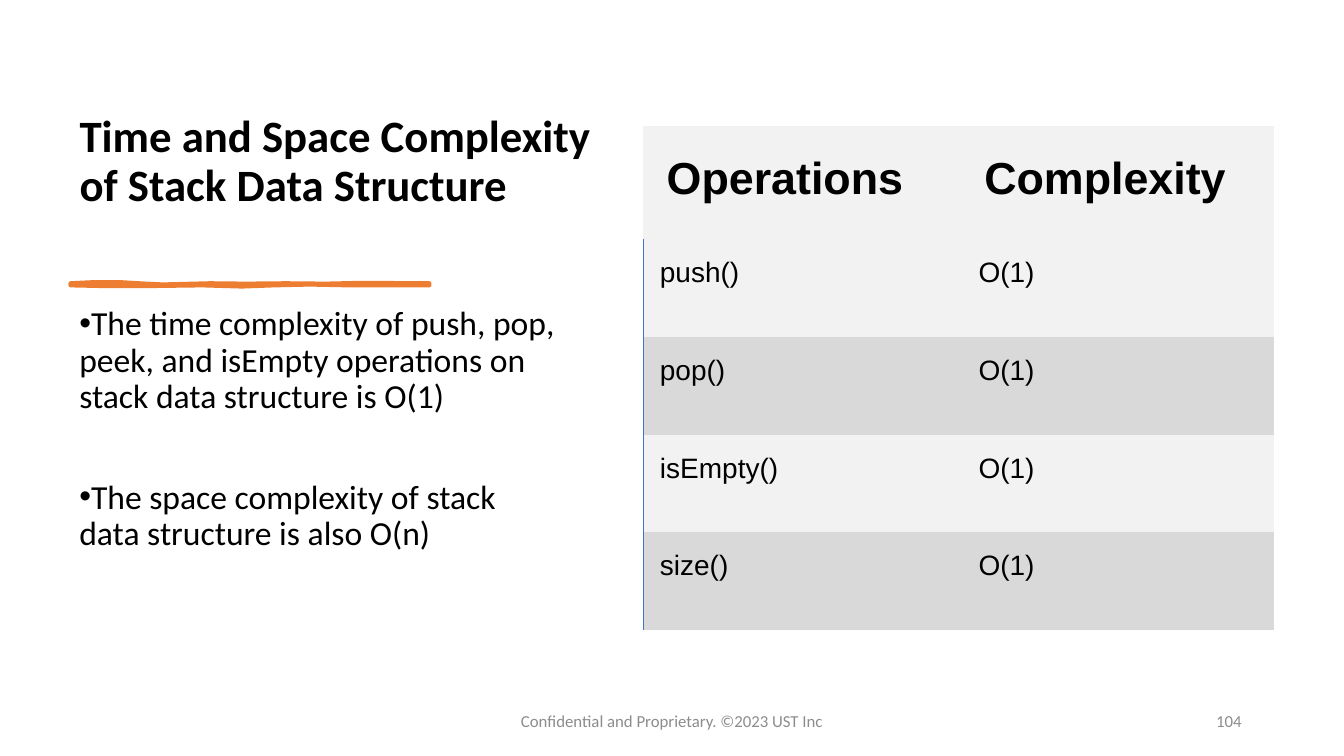
from dataclasses import dataclass

from lxml import etree
from pptx import Presentation
from pptx import util as u
from pptx.dml.color import RGBColor
from pptx.enum import text
from pptx.oxml import ns


@dataclass(frozen=True)
class Theme:
    ink: str = "000000"
    muted: str = "8C8C8C"
    accent: str = "ED7D31"
    light: str = "F2F2F2"
    band: str = "D9D9D9"
    rule: str = "4472C4"
    body_font: str = "Calibri"
    table_font: str = "Arial"
    heading: int = 32
    bullet: int = 24
    cell: int = 20
    footer: int = 12
    plain_table: str = "{2D5ABB26-0587-4C30-8999-92F81FD0307C}"


class Deck:
    def __init__(self, theme):
        self.theme = theme
        self.prs = Presentation()
        self.prs.slide_width, self.prs.slide_height = u.Cm(33.87), u.Cm(19.05)
        self.slide = self.prs.slides.add_slide(self.prs.slide_layouts[5])

    def style(self, paragraph, size, color=None, font=None, bold=False):
        paragraph.font.name = font or self.theme.body_font
        paragraph.font.size = u.Pt(size)
        paragraph.font.bold = bold
        paragraph.font.color.rgb = RGBColor.from_string(color or self.theme.ink)

    def title(self, words, box, bottom):
        heading = self.slide.shapes.title
        heading.left, heading.top, heading.width, heading.height = map(u.Cm, box)
        frame = heading.text_frame
        frame.text = words
        frame.word_wrap = True
        frame.auto_size = text.MSO_AUTO_SIZE.NONE
        frame.vertical_anchor = text.MSO_ANCHOR.BOTTOM
        frame.margin_bottom = u.Cm(bottom)
        paragraph = frame.paragraphs[0]
        paragraph.alignment = text.PP_ALIGN.LEFT
        paragraph.line_spacing = 0.9
        self.style(paragraph, self.theme.heading, bold=True)

    def text_box(self, box):
        frame = self.slide.shapes.add_textbox(*map(u.Cm, box)).text_frame
        frame.word_wrap = True
        return frame

    def bullets(self, points, box, gap):
        frame = self.text_box(box)
        for i, point in enumerate(points):
            paragraph = frame.add_paragraph() if i else frame.paragraphs[0]
            paragraph.text = point
            props = paragraph._p.get_or_add_pPr()
            props.set("marL", "0")
            props.set("indent", str(-u.Cm(0.64)))
            etree.SubElement(props, ns.qn("a:buFont")).set("typeface", "Arial")
            etree.SubElement(props, ns.qn("a:buChar")).set("char", "•")
            paragraph.line_spacing = 0.9
            if i:
                paragraph.space_before = u.Pt(gap)
            self.style(paragraph, self.theme.bullet)

    def footer(self, words, box, align):
        frame = self.text_box(box)
        frame.vertical_anchor = text.MSO_ANCHOR.MIDDLE
        paragraph = frame.paragraphs[0]
        paragraph.text = words
        paragraph.alignment = align
        self.style(paragraph, self.theme.footer, self.theme.muted)

    def brush_stroke(self, outline):
        start, *rest = [(u.Cm(x), u.Cm(y)) for x, y in outline]
        builder = self.slide.shapes.build_freeform(*start)
        builder.add_line_segments(rest, close=True)
        stroke = builder.convert_to_shape()
        stroke.shadow.inherit = False
        color = RGBColor.from_string(self.theme.accent)
        stroke.fill.solid()
        stroke.fill.fore_color.rgb = color
        stroke.line.color.rgb = color
        stroke.line.width = u.Pt(3)
        etree.SubElement(stroke.line._get_or_add_ln(), ns.qn("a:round"))

    def left_border(self, cell):
        props = cell._tc.get_or_add_tcPr()
        line = etree.Element(ns.qn("a:lnL"), w=str(u.Pt(1)))
        fill = etree.SubElement(line, ns.qn("a:solidFill"))
        etree.SubElement(fill, ns.qn("a:srgbClr")).set("val", self.theme.rule)
        props.insert(0, line)

    def table(self, rows, corner, widths, heights):
        theme = self.theme
        grid = self.slide.shapes.add_table(
            len(rows), len(widths), *map(u.Cm, (*corner, sum(widths), sum(heights)))).table
        grid.first_row = grid.horz_banding = False
        grid._tbl.tblPr.find(ns.qn("a:tableStyleId")).text = theme.plain_table
        for column, width in zip(grid.columns, widths):
            column.width = u.Cm(width)
        for r, (values, height) in enumerate(zip(rows, heights)):
            grid.rows[r].height = u.Cm(height)
            header = r == 0
            shade = theme.light if header or r % 2 else theme.band
            for c, value in enumerate(values):
                cell = grid.cell(r, c)
                cell.text = value
                cell.margin_left, cell.margin_top = u.Cm(0.42), u.Cm(0.13)
                cell.margin_right = u.Cm(1.3 if header and c == 0 else 1.07)
                cell.margin_bottom = u.Cm(0.89)
                cell.vertical_anchor = text.MSO_ANCHOR.BOTTOM if header else text.MSO_ANCHOR.MIDDLE
                cell.fill.solid()
                cell.fill.fore_color.rgb = RGBColor.from_string(shade)
                paragraph = cell.text_frame.paragraphs[0]
                paragraph.alignment = text.PP_ALIGN.CENTER if header else text.PP_ALIGN.LEFT
                self.style(paragraph, theme.heading if header else theme.cell,
                           font=theme.table_font, bold=header)
                if c == 0 and not header:
                    self.left_border(cell)


def main():
    deck = Deck(Theme())

    # Heading and the hand-drawn rule below it
    deck.title("Time and Space Complexity of Stack Data Structure",
               (1.75, 1.78, 13.46, 4.78), bottom=1.24)
    upper_edge = [(1.78, 7.14), (2.4, 7.11), (3, 7.11), (3.5, 7.14), (4.1, 7.17),
                  (5.3, 7.14), (6.2, 7.15), (7.2, 7.14), (8.2, 7.15), (9.1, 7.13), (10.82, 7.14)]
    lower_edge = [(10.82, 7.19), (9.9, 7.19), (8.8, 7.19), (7.8, 7.17), (6.9, 7.19),
                  (6.1, 7.22), (5.1, 7.19), (3.6, 7.21), (2.7, 7.21), (1.78, 7.19)]
    deck.brush_stroke(upper_edge + lower_edge)

    # Complexity statements
    deck.bullets(
        ["The time complexity of push, pop, peek, and isEmpty operations on "
         "stack data structure is O(1)",
         "The space complexity of stack data structure is also O(n)"],
        (1.75, 7.61, 12.7, 9.65), gap=46)

    # Table of operations
    operations = ["push()", "pop()", "isEmpty()", "size()"]
    deck.table([("Operations", "Complexity")] + [(name, "O(1)") for name in operations],
               (16.21, 3.18), (8.03, 7.87), [2.85] + [2.46] * len(operations))

    # Footer
    deck.footer("Confidential and Proprietary. ©2023 UST Inc",
                (11.22, 17.65, 11.43, 1.02), text.PP_ALIGN.CENTER)
    deck.footer("104", (23.92, 17.65, 7.62, 1.02), text.PP_ALIGN.RIGHT)

    deck.prs.save("out.pptx")


if __name__ == "__main__":
    main()
